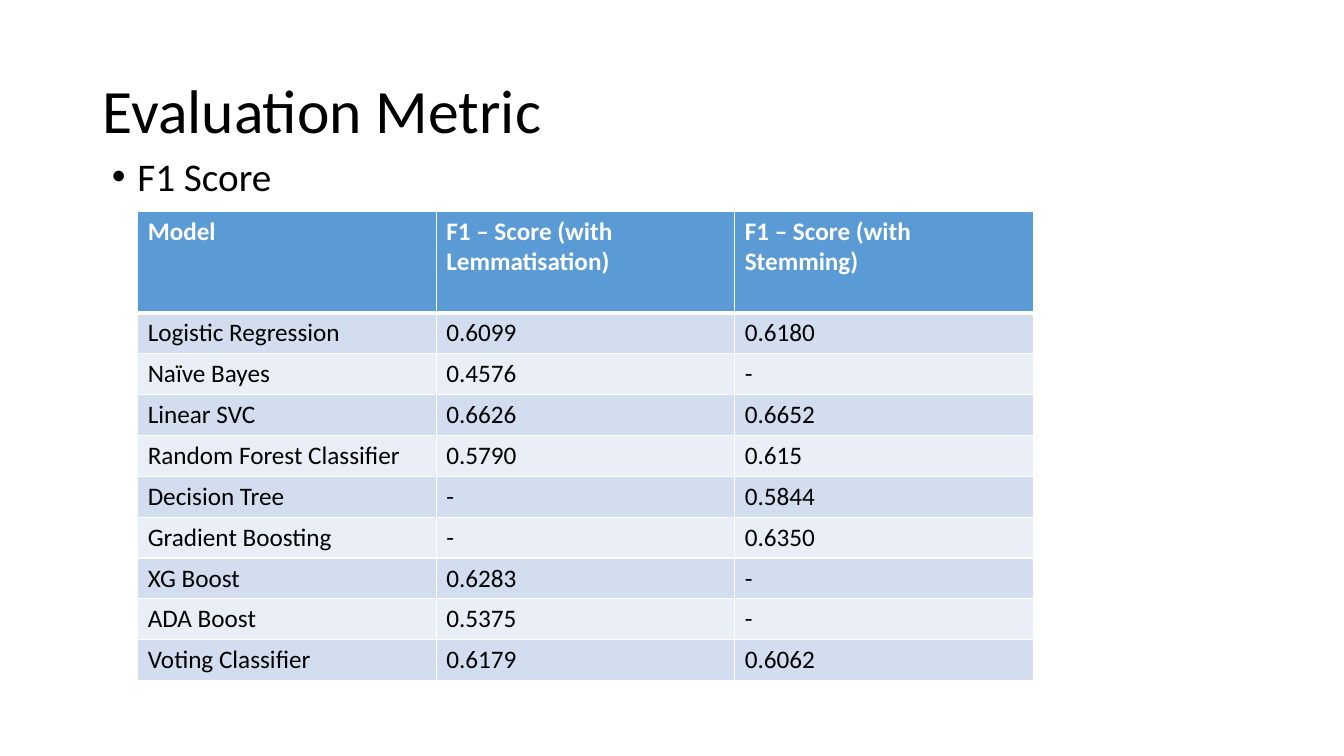
from lxml.etree import SubElement
from pptx import Presentation
from pptx.dml.color import RGBColor
from pptx.enum.text import MSO_ANCHOR as Anchor, MSO_AUTO_SIZE as AutoSize, PP_ALIGN as Align
from pptx.oxml import parse_xml
from pptx.oxml.ns import nsdecls, qn
from pptx.util import Cm, Pt

TITLE_FORMAT = dict(name="Calibri", size=Pt(44), bold=False)
BULLET_FORMAT = dict(name="Calibri", size=Pt(28), bold=False)
HEAD_FORMAT = dict(name="Calibri", size=Pt(18), bold=True)
CELL_FORMAT = dict(name="Calibri", size=Pt(18), bold=False)

BLACK, WHITE = "000000", "FFFFFF"
HEAD_FILL = "5B9BD5"
BAND_FILLS = ["EAEFF7", "D2DEEF"]

HEAD_HEIGHT, ROW_HEIGHT = 2.56, 1.03
SCORES = [
    ("Model", "F1 – Score (with Lemmatisation)", "F1 – Score (with Stemming)"),
    ("Logistic Regression", "0.6099", "0.6180"),
    ("Naïve Bayes", "0.4576", "-"),
    ("Linear SVC", "0.6626", "0.6652"),
    ("Random Forest Classifier", "0.5790", "0.615"),
    ("Decision Tree", "-", "0.5844"),
    ("Gradient Boosting", "-", "0.6350"),
    ("XG Boost", "0.6283", "-"),
    ("ADA Boost", "0.5375", "-"),
    ("Voting Classifier", "0.6179", "0.6062"),
]


def color(hex_code):
    return RGBColor.from_string(hex_code)


def write(p, text, fmt, hex_code):
    r = p.add_run()
    r.text = text
    for key, value in fmt.items():
        setattr(r.font, key, value)
    r.font.color.rgb = color(hex_code)


def set_borders(cell, widths):
    """Draw white borders; widths in points for left, right, top, bottom."""
    tcPr = cell._tc.get_or_add_tcPr()
    for i, (side, width) in enumerate(zip("LRTB", widths)):
        ln = parse_xml(f'<a:ln{side} {nsdecls("a")} w="{Pt(width)}"><a:solidFill>'
                       f'<a:srgbClr val="{WHITE}"/></a:solidFill></a:ln{side}>')
        tcPr.insert(i, ln)


def add_title(slide, text, left, top, width, height):
    sp = slide.shapes.title
    box = dict(left=left, top=top, width=width, height=height)
    for key, value in box.items():
        setattr(sp, key, Cm(value))
    tf = sp.text_frame
    tf.auto_size = AutoSize.NONE
    tf.word_wrap = True
    tf.vertical_anchor = Anchor.MIDDLE
    p = tf.paragraphs[0]
    p.alignment = Align.LEFT
    p.line_spacing = 0.9
    write(p, text, TITLE_FORMAT, BLACK)


def add_bullet(slide, text, left, top, width, height):
    sp = slide.shapes.add_textbox(Cm(left), Cm(top), Cm(width), Cm(height))
    tf = sp.text_frame
    tf.word_wrap = True
    p = tf.paragraphs[0]
    p.line_spacing = 0.9
    p.space_before = Pt(10)
    # Hanging bullet
    pPr = p._p.get_or_add_pPr()
    pPr.set("marL", str(Cm(0.64)))
    pPr.set("indent", str(-Cm(0.64)))
    SubElement(pPr, qn("a:buFont")).set("typeface", "Arial")
    SubElement(pPr, qn("a:buChar")).set("char", "•")
    write(p, text, BULLET_FORMAT, BLACK)


def add_score_table(slide, rows, left, top, width):
    height = HEAD_HEIGHT + ROW_HEIGHT * (len(rows) - 1)
    table = slide.shapes.add_table(len(rows), len(rows[0]), Cm(left), Cm(top),
                                   Cm(width), Cm(height)).table
    for i, values in enumerate(rows):
        is_head = i == 0
        table.rows[i].height = Cm(HEAD_HEIGHT if is_head else ROW_HEIGHT)
        fill = HEAD_FILL if is_head else BAND_FILLS[i % 2]
        fmt, ink = (HEAD_FORMAT, WHITE) if is_head else (CELL_FORMAT, BLACK)
        # Thick rule between the header and the first model
        widths = (1, 1, 3 if i == 1 else 1, 3 if is_head else 1)
        for cell, value in zip(table.rows[i].cells, values):
            cell.fill.solid()
            cell.fill.fore_color.rgb = color(fill)
            set_borders(cell, widths)
            write(cell.text_frame.paragraphs[0], value, fmt, ink)


def main():
    prs = Presentation()
    prs.slide_width, prs.slide_height = Cm(33.87), Cm(19.05)
    slide = prs.slides.add_slide(prs.slide_layouts[5])
    add_title(slide, "Evaluation Metric", 2.33, 1.01, 29.21, 3.68)
    add_bullet(slide, "F1 Score", 2.57, 3.84, 29.21, 12.09)
    add_score_table(slide, SCORES, 3.47, 5.32, 22.57)
    prs.save("out.pptx")


if __name__ == "__main__":
    main()
